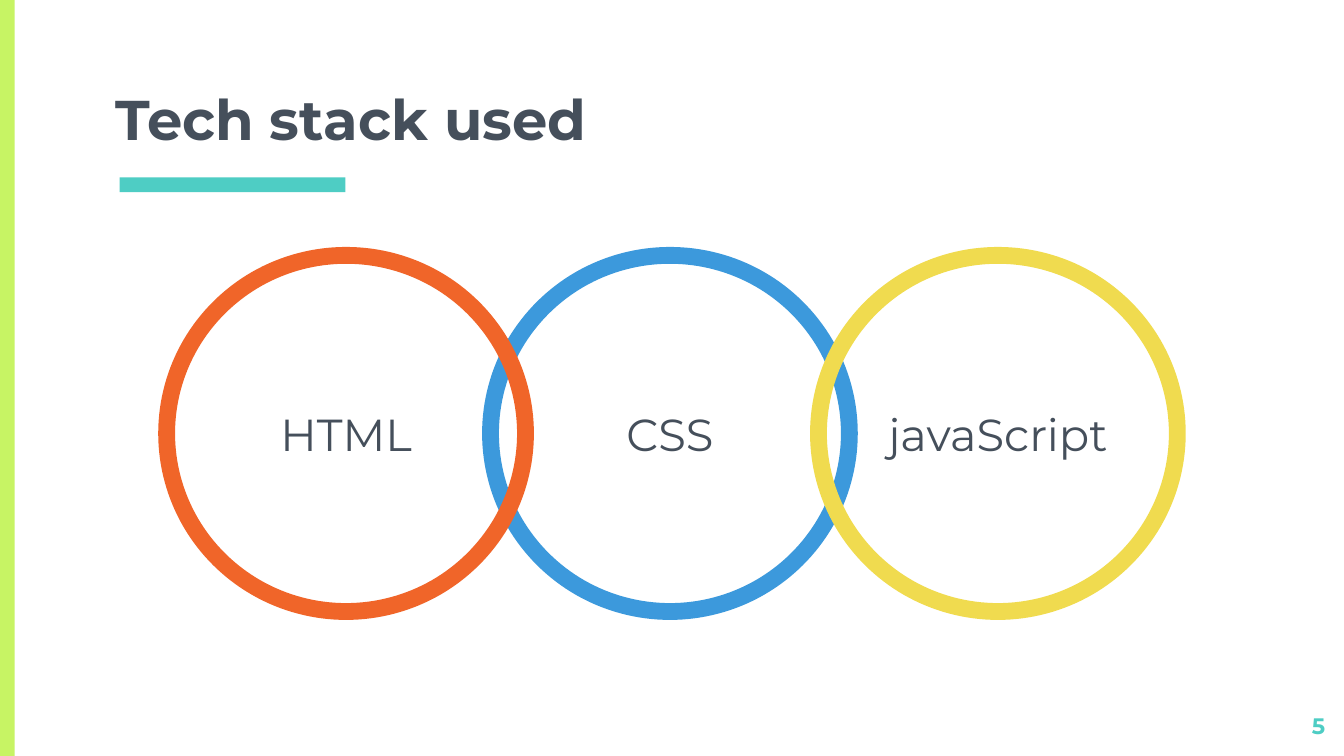
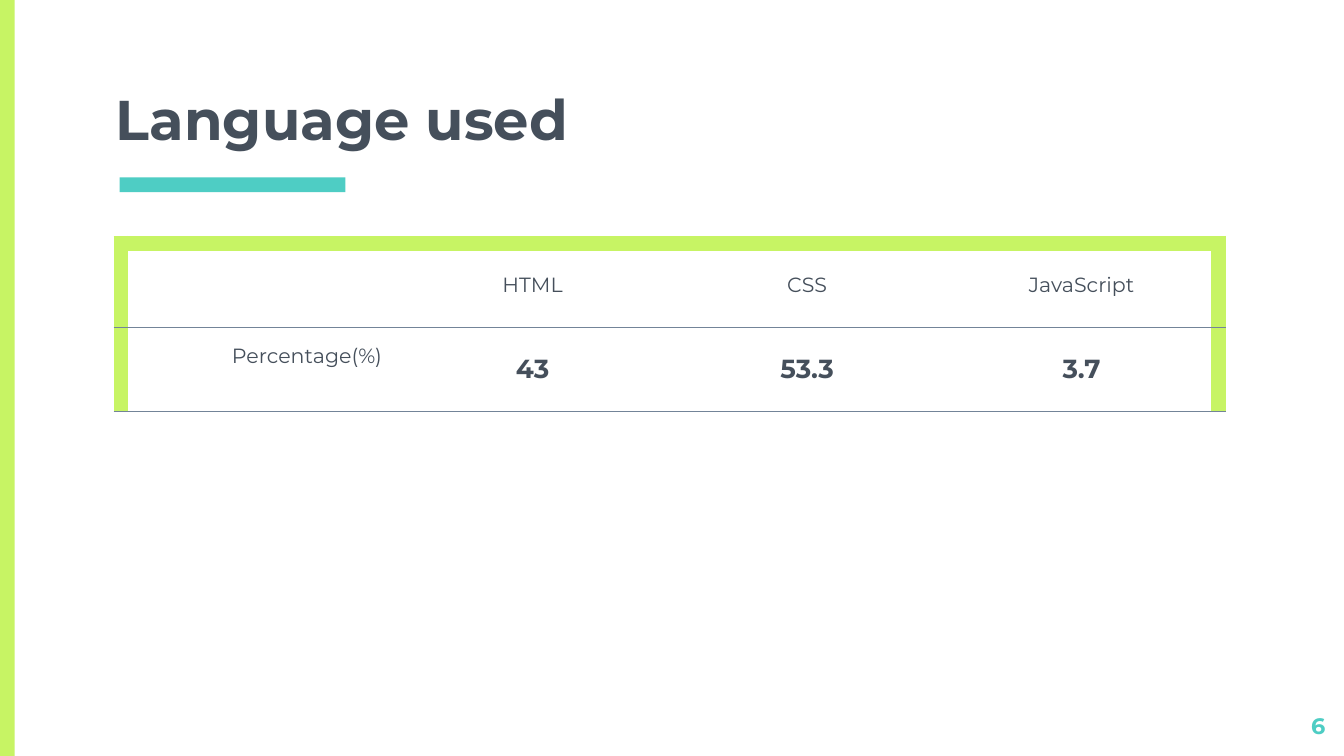
from dataclasses import dataclass

from lxml import etree
from pptx import Presentation
from pptx.dml.color import RGBColor
from pptx.enum.shapes import MSO_SHAPE
from pptx.enum.text import MSO_ANCHOR, MSO_AUTO_SIZE, PP_ALIGN
from pptx.oxml.ns import qn
from pptx.util import Inches, Pt

RECTANGLE, OVAL = MSO_SHAPE.RECTANGLE, MSO_SHAPE.OVAL
LEFT, CENTER, RIGHT = PP_ALIGN.LEFT, PP_ALIGN.CENTER, PP_ALIGN.RIGHT
TOP, MIDDLE, BOTTOM = MSO_ANCHOR.TOP, MSO_ANCHOR.MIDDLE, MSO_ANCHOR.BOTTOM
NO_AUTOFIT = MSO_AUTO_SIZE.NONE
TITLE_ONLY = 5

SLIDE_WIDTH = Inches(10)
SLIDE_HEIGHT = SLIDE_WIDTH * 9 // 16


@dataclass(frozen=True)
class Theme:
    font: str = "Montserrat"
    ink: str = "454F5B"
    lime: str = "C7F464"
    teal: str = "4ECDC4"
    rule: str = "738498"
    orange: str = "F06529"
    blue: str = "3C99DC"
    yellow: str = "F0DB4F"
    title_size: int = 30
    ring_size: int = 24
    value_size: int = 14
    number_size: int = 12
    label_size: int = 11
    thick: float = 9
    thin: float = 0.75


THEME = Theme()


def area(left, top, width, height):
    """Turn percentages of the slide's size into lengths."""
    sides = (SLIDE_WIDTH, SLIDE_HEIGHT) * 2
    return [int(side * share / 100)
            for side, share in zip(sides, (left, top, width, height))]


# Text
def write(frame, text, *, size, color=THEME.ink, bold=False, align=LEFT):
    paragraph = frame.paragraphs[0]
    paragraph.alignment = align
    run = paragraph.add_run()
    run.text = text
    run.font.name = THEME.font
    run.font.size = Pt(size)
    run.font.bold = bold
    run.font.color.rgb = RGBColor.from_string(color)


def prepare_frame(frame, anchor):
    frame.word_wrap = True
    frame.auto_size = NO_AUTOFIT
    frame.vertical_anchor = anchor
    frame.margin_left = frame.margin_right = Inches(0.1)
    frame.margin_top = frame.margin_bottom = Inches(0.1)


# Shapes
def add_bar(slide, color, box):
    bar = slide.shapes.add_shape(RECTANGLE, *area(*box))
    bar.shadow.inherit = False
    bar.fill.solid()
    bar.fill.fore_color.rgb = RGBColor.from_string(color)
    bar.line.fill.background()


def add_ring(slide, text, color, left):
    ring = slide.shapes.add_shape(OVAL, *area(left, 33.78, 26.7, 47.11))
    ring.shadow.inherit = False
    ring.fill.background()
    ring.line.color.rgb = RGBColor.from_string(color)
    ring.line.width = Pt(THEME.thick)
    prepare_frame(ring.text_frame, MIDDLE)
    write(ring.text_frame, text, size=THEME.ring_size, align=CENTER)


# Table
def set_borders(cell, borders):
    """Set the left, right, top and bottom border; None hides one."""
    properties = cell._tc.get_or_add_tcPr()
    for index, (side, border) in enumerate(zip("LRTB", borders)):
        line = etree.Element(qn(f"a:ln{side}"))
        properties.insert(index, line)
        if border is None:
            etree.SubElement(line, qn("a:noFill"))
            continue
        color, width = border
        line.set("w", str(Pt(width)))
        fill = etree.SubElement(line, qn("a:solidFill"))
        etree.SubElement(fill, qn("a:srgbClr"), val=color)


def add_table(slide, rows):
    row_count, column_count = len(rows), len(rows[0])
    box = area(9, 32.18, 81.7, 22.22)
    table = slide.shapes.add_table(row_count, column_count, *box).table
    frame_line = (THEME.lime, THEME.thick)
    row_line = (THEME.rule, THEME.thin)
    for row_index, row in enumerate(rows):
        for column_index, text in enumerate(row):
            cell = table.cell(row_index, column_index)
            cell.fill.background()
            cell.vertical_anchor = MIDDLE
            cell.margin_left = cell.margin_right = Inches(0.1)
            cell.margin_top = cell.margin_bottom = Inches(0.07)
            set_borders(cell, (
                frame_line if column_index == 0 else None,
                frame_line if column_index == column_count - 1 else None,
                frame_line if row_index == 0 else row_line,
                row_line,
            ))
            is_row_label = row_index > 0 and column_index == 0
            is_value = row_index > 0 and column_index > 0
            if is_row_label:  # row labels sit above the middle
                cell.margin_bottom = Inches(0.26)
            if text:
                write(cell.text_frame, text, bold=is_value,
                      size=THEME.value_size if is_value else THEME.label_size,
                      align=RIGHT if is_row_label else CENTER)


# Shared slide frame
def add_slide(presentation, title, number):
    slide = presentation.slides.add_slide(
        presentation.slide_layouts[TITLE_ONLY])
    add_bar(slide, THEME.lime, (0, 0, 1.1, 100))
    add_bar(slide, THEME.teal, (8.9, 23.47, 16.8, 1.96))

    heading = slide.shapes.title
    heading.left, heading.top, heading.width, heading.height = area(
        7.6, 12.27, 84.9, 9.6)
    prepare_frame(heading.text_frame, BOTTOM)
    write(heading.text_frame, title, size=THEME.title_size, bold=True)

    number_box = slide.shapes.add_textbox(*area(93.6, 92.44, 6, 6.04))
    prepare_frame(number_box.text_frame, TOP)
    write(number_box.text_frame, str(number), size=THEME.number_size,
          color=THEME.teal, bold=True, align=RIGHT)
    return slide


def main():
    presentation = Presentation()
    presentation.slide_width = SLIDE_WIDTH
    presentation.slide_height = SLIDE_HEIGHT

    # Tech stack: the middle ring lies behind its neighbours
    slide = add_slide(presentation, "Tech stack used", 5)
    add_ring(slide, "CSS", THEME.blue, 36.5)
    add_ring(slide, "HTML", THEME.orange, 12.4)
    add_ring(slide, "javaScript", THEME.yellow, 60.9)

    # Language shares
    slide = add_slide(presentation, "Language used", 6)
    add_table(slide, [
        ["", "HTML", "CSS", "JavaScript"],
        ["Percentage(%)", "43", "53.3", "3.7"],
    ])

    presentation.save("out.pptx")


if __name__ == "__main__":
    main()
